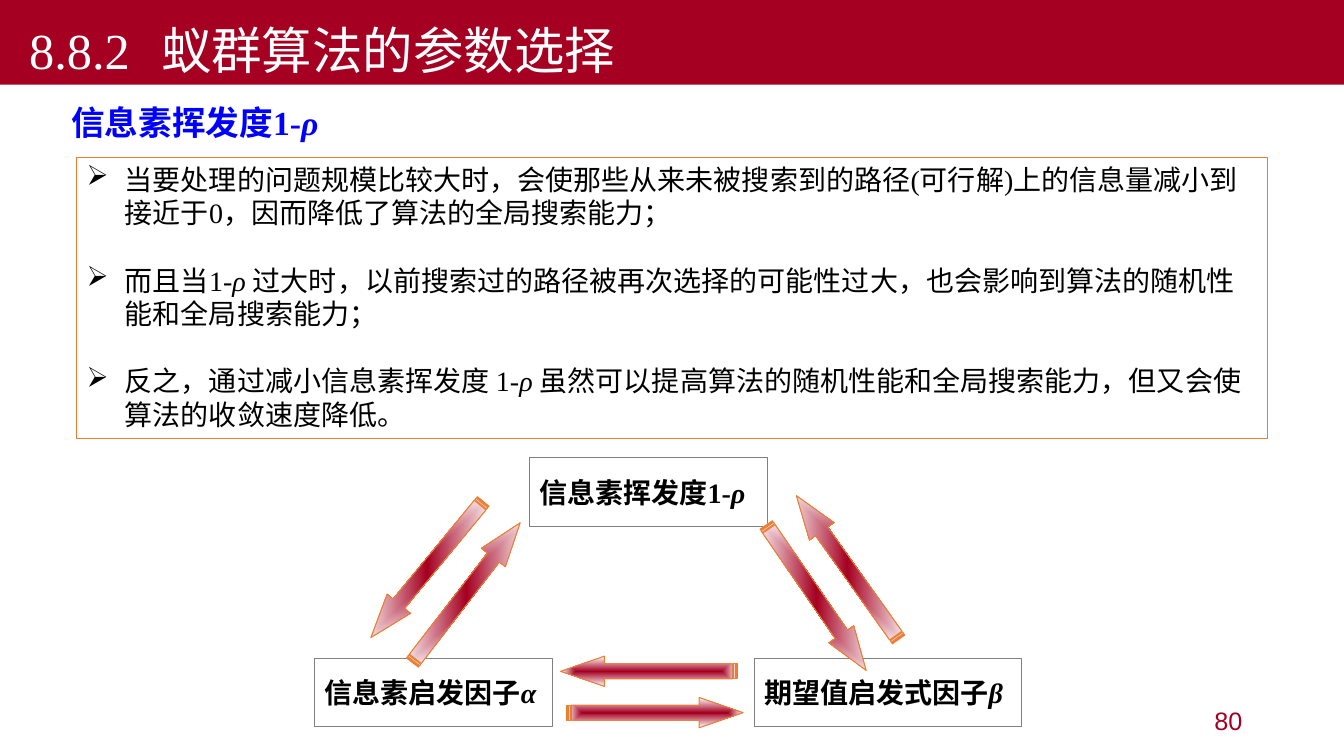
from dataclasses import dataclass

import lxml.etree
import pptx
import pptx.dml.color
import pptx.enum.shapes
import pptx.enum.text
import pptx.oxml
import pptx.oxml.ns
import pptx.util

Inches = pptx.util.Inches
Pt = pptx.util.Pt
RGB = pptx.dml.color.RGBColor.from_string
Shape = pptx.enum.shapes.MSO_SHAPE
Align = pptx.enum.text.PP_ALIGN
Anchor = pptx.enum.text.MSO_ANCHOR
qn = pptx.oxml.ns.qn


@dataclass(frozen=True)
class Theme:
    """Colours, fonts and type sizes of the slide."""
    crimson: str = "A50021"
    blue: str = "0000FF"
    orange: str = "ED7D31"
    grey: str = "808080"
    black: str = "000000"
    white: str = "FFFFFF"
    serif: str = "Times New Roman"
    sans: str = "Arial"
    title: int = 36
    heading: int = 24
    body: int = 20
    number: int = 18
    hairline: float = 0.75


@dataclass(frozen=True)
class Span:
    """A stretch of text in one format."""
    text: str
    italic: bool = False
    font: str = Theme.serif


@dataclass(frozen=True)
class Factor:
    """A labelled box of the triangle."""
    left: float
    top: float
    width: float
    name: str
    symbol: str


@dataclass(frozen=True)
class Arrow:
    """A striped arrow, placed before it is turned."""
    left: float
    top: float
    angle: float


THEME = Theme()
RHO = Span("ρ", italic=True)
RHO_SPACED = Span("ρ ", italic=True)
BULLETS = [
    [Span("当要处理的问题规模比较大时，会使那些从来未被搜索到的路径(可行解)上的信息量减小"
          "到接近于0，因而降低了算法的全局搜索能力；")],
    [Span("而且当", font=THEME.sans), Span("1-"), RHO_SPACED,
     Span("过大时，以前搜索过的路径被再次选择的可能性过大，也会影响到算法的随机性"
          "能和全局搜索能力；", font=THEME.sans)],
    [Span("反之，通过减小信息素挥发度 ", font=THEME.sans), Span("1-"), RHO_SPACED,
     Span("虽然可以提高算法的随机性能和全局搜索能力，但又会使"
          "算法的收敛速度降低。", font=THEME.sans)],
]
FACTORS = [
    Factor(3.12, 6.53, 2.36, "信息素启发因子", "α"),
    Factor(7.48, 6.53, 2.65, "期望值启发式因子", "β"),
    Factor(5.25, 4.54, 2.36, "信息素挥发度1-", "ρ"),
]
ARROWS = [
    Arrow(5.62, 6.92, 0), Arrow(5.56, 6.51, 180),
    Arrow(3.75, 5.73, 307.6), Arrow(3.36, 5.5, 129.5),
    Arrow(7.53, 5.48, 234.6), Arrow(7.22, 5.78, 55.5),
]


def apply(target, values: dict) -> None:
    """Set each named attribute of the target."""
    for name, value in values.items():
        setattr(target, name, value)


def write(para, spans: list[Span], size: int, color: str, bold: bool = False,
          align=Align.LEFT) -> None:
    """Fill a paragraph with formatted spans."""
    para.alignment = align
    for span in spans:
        run = para.add_run()
        run.text = span.text
        apply(run.font, {"name": span.font, "size": Pt(size), "bold": bold,
                         "italic": span.italic})
        run.font.color.rgb = RGB(color)


def add_text(page, left: float, top: float, width: float, height: float, anchor):
    """Add a wrapping text box and return its first paragraph."""
    box = page.shapes.add_textbox(*map(Inches, (left, top, width, height)))
    apply(box.text_frame, {"word_wrap": True, "vertical_anchor": anchor})
    return box.text_frame.paragraphs[0]


def add_box(page, left: float, top: float, width: float, height: float,
            fill: str, line: str | None, anchor, wrap: bool = True):
    """Add a plain rectangle and return its text frame."""
    box = page.shapes.add_shape(Shape.RECTANGLE, *map(Inches, (left, top, width, height)))
    box.shadow.inherit = False
    box.fill.solid()
    box.fill.fore_color.rgb = RGB(fill)
    if line:
        outline(box, line)
    else:
        box.line.fill.background()
    apply(box.text_frame, {"word_wrap": wrap, "vertical_anchor": anchor})
    return box.text_frame


def outline(shape, color: str) -> None:
    """Give a shape a thin coloured line."""
    shape.line.color.rgb = RGB(color)
    shape.line.width = Pt(THEME.hairline)


def add_bullet(para) -> None:
    """Give a paragraph a hanging arrow bullet."""
    props = para._p.get_or_add_pPr()
    indent = Inches(0.38)
    props.set("marL", str(indent))
    props.set("indent", str(-indent))
    lxml.etree.SubElement(props, qn("a:buChar")).set("char", "➢")


def add_bullets(page) -> None:
    """Add the framed list of remarks."""
    frame = add_box(page, 0.76, 1.56, 11.81, 2.79, THEME.white, THEME.orange, Anchor.TOP)
    for index, spans in enumerate(BULLETS):
        para = frame.add_paragraph() if index else frame.paragraphs[0]
        write(para, spans, THEME.body, THEME.black)
        if index:
            para.space_before = Pt(24)
        add_bullet(para)


def add_factor(page, factor: Factor) -> None:
    """Add one labelled box of the triangle."""
    frame = add_box(page, factor.left, factor.top, factor.width, 0.68,
                    THEME.white, THEME.grey, Anchor.MIDDLE, wrap=False)
    spans = [Span(factor.name), Span(factor.symbol, italic=True)]
    write(frame.paragraphs[0], spans, THEME.body, THEME.black, bold=True)


def add_arrow(page, arrow: Arrow) -> None:
    """Add a striped arrow that fades from its centre."""
    shape = page.shapes.add_shape(Shape.STRIPED_RIGHT_ARROW, Inches(arrow.left),
                                  Inches(arrow.top), Inches(1.75), Inches(0.3))
    shape.shadow.inherit = False
    shape.rotation = arrow.angle
    shape.adjustments[0], shape.adjustments[1] = 0.5, 1.45
    outline(shape, THEME.orange)
    shape.fill.gradient()
    gradient = shape._element.spPr.find(qn("a:gradFill"))
    gradient.getparent().replace(gradient, pptx.oxml.parse_xml(
        f'<a:gradFill {pptx.oxml.ns.nsdecls("a")} rotWithShape="1"><a:gsLst>'
        f'<a:gs pos="0"><a:srgbClr val="{THEME.crimson}"/></a:gs>'
        f'<a:gs pos="100000"><a:srgbClr val="{THEME.white}"/></a:gs></a:gsLst>'
        '<a:path path="rect"><a:fillToRect l="50000" t="50000" r="50000" b="50000"/>'
        '</a:path></a:gradFill>'))


def add_title(page) -> None:
    """Add the title band, with a tab after the section number."""
    frame = add_box(page, 0, 0, 13.33, 0.84, THEME.crimson, None, Anchor.BOTTOM)
    para = frame.paragraphs[0]
    write(para, [Span("8.8.2\t蚁群算法的参数选择")], THEME.title, THEME.white)
    props = para._p.get_or_add_pPr()
    props.set("indent", str(Inches(0.19)))
    tabs = lxml.etree.SubElement(props, qn("a:tabLst"))
    stop = lxml.etree.SubElement(tabs, qn("a:tab"))
    stop.set("pos", str(Inches(1.56)))
    stop.set("algn", "l")


def main() -> None:
    """Build and save the slide."""
    deck = pptx.Presentation()
    apply(deck, {"slide_width": Inches(13.33), "slide_height": Inches(7.5)})
    page = deck.slides.add_slide(deck.slide_layouts[6])
    write(add_text(page, 9.42, 6.95, 3, 0.4, Anchor.MIDDLE),
          [Span("80", font=THEME.sans)], THEME.number, THEME.crimson, align=Align.RIGHT)
    write(add_text(page, 0.61, 0.96, 9.33, 0.51, Anchor.TOP),
          [Span("信息素挥发度1-"), RHO], THEME.heading, THEME.blue, bold=True)
    add_bullets(page)
    for factor in FACTORS:
        add_factor(page, factor)
    for arrow in ARROWS:
        add_arrow(page, arrow)
    add_title(page)
    deck.save("out.pptx")


main()
